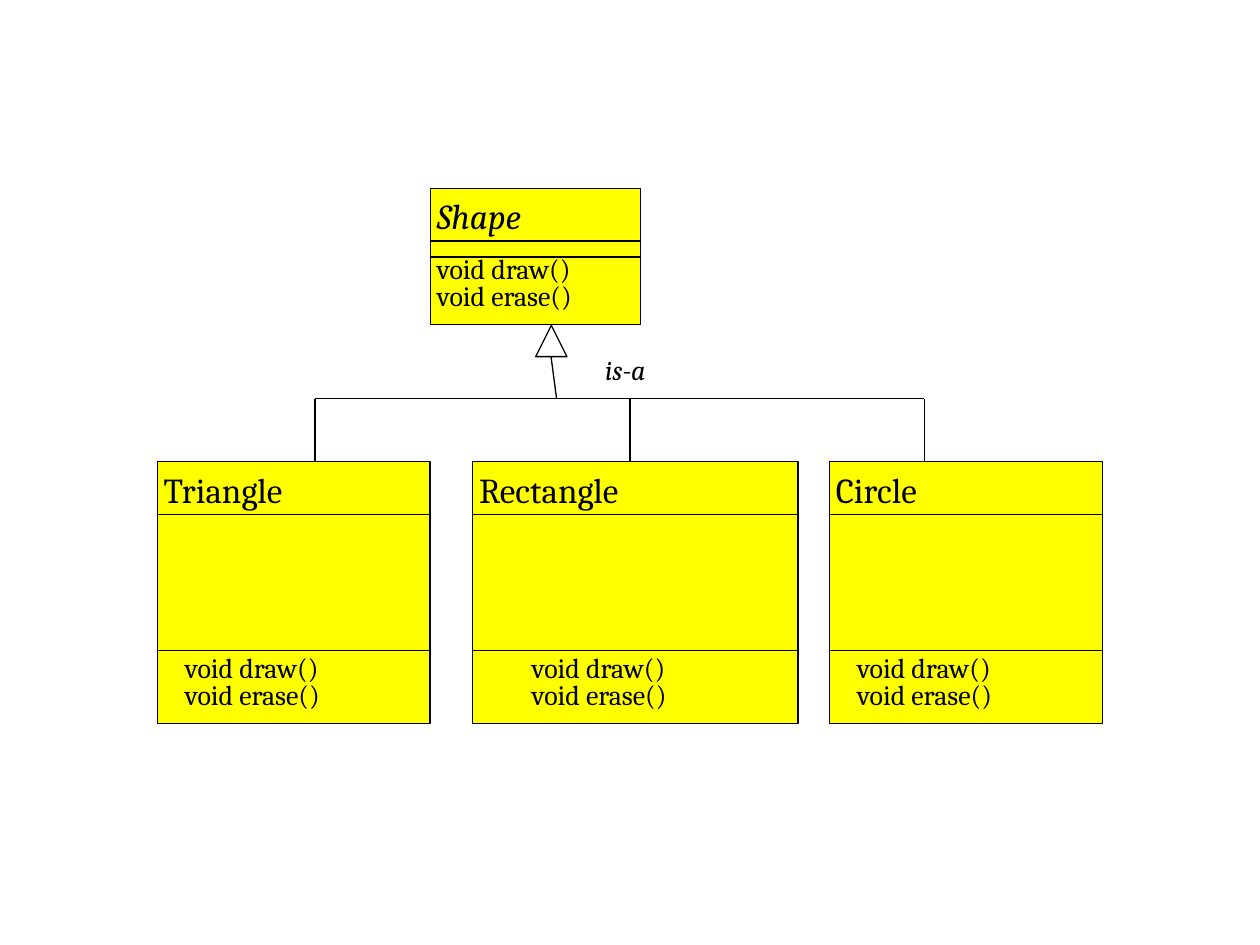
import pptx
import pptx.util
import pptx.dml.color
import pptx.enum.shapes
import pptx.enum.text
import pptx.oxml.ns
import lxml.etree

Cm = pptx.util.Cm
Pt = pptx.util.Pt
SHAPES = pptx.enum.shapes.MSO_SHAPE

FONT = "Cambria"
INK = "000000"
YELLOW = "FFFF00"
INSET = 0.13
HEADER = 1.06
METHODS = ["void draw()", "void erase()"]

CHILD_TOP = 9.31
CHILD_HEIGHT = 5.28
CHILD_BODY = 3.81
BAR_Y = 8.04
BRANCH_XS = [6.35, 12.7, 18.63]

CLASSES = [
    dict(name="Shape", left=8.68, top=3.8, width=4.23, height=2.75,
         rules=[HEADER, 1.38], methods=(0, 1.28), italic=True),
] + [
    dict(name=name, left=left, top=CHILD_TOP, width=width, height=CHILD_HEIGHT,
         rules=[HEADER, CHILD_BODY], methods=(indent, CHILD_BODY), italic=False)
    for name, left, width, indent in [
        ("Triangle", 3.17, 5.5, 0.43),
        ("Rectangle", 9.53, 6.56, 1.06),
        ("Circle", 16.72, 5.5, 0.43),
    ]
]

BRANCHES = [
    (BRANCH_XS[0], BAR_Y, BRANCH_XS[-1], BAR_Y),
    (11.11, 7.2, 11.22, BAR_Y),
] + [(x, BAR_Y, x, CHILD_TOP) for x in BRANCH_XS]


def color(value):
    return pptx.dml.color.RGBColor.from_string(value)


def add_outline(parent, kind, left, top, width, height, fill=None):
    shape = parent.add_shape(kind, Cm(left), Cm(top), Cm(width), Cm(height))
    shape.shadow.inherit = False
    if fill:
        shape.fill.solid()
        shape.fill.fore_color.rgb = color(fill)
    else:
        shape.fill.background()
    shape.line.color.rgb = color(INK)
    shape.line.width = Pt(0.75)


def add_line(x1, y1, x2, y2):
    line = page.shapes.add_connector(
        pptx.enum.shapes.MSO_CONNECTOR.STRAIGHT, Cm(x1), Cm(y1), Cm(x2), Cm(y2))
    line.line.color.rgb = color(INK)
    line.line.width = Pt(0.75)
    properties = line._element.spPr
    lxml.etree.SubElement(properties, pptx.oxml.ns.qn("a:effectLst"))


def add_text(parent, lines, left, top, width, height, size,
             italic=False, wrap=False, spacing=None):
    box = parent.add_textbox(Cm(left), Cm(top), Cm(width), Cm(height))
    frame = box.text_frame
    frame.word_wrap = wrap
    frame.auto_size = pptx.enum.text.MSO_AUTO_SIZE.SHAPE_TO_FIT_TEXT
    frame.margin_left = frame.margin_right = Cm(INSET)
    frame.margin_top = frame.margin_bottom = Cm(INSET)
    for index, line in enumerate(lines):
        para = frame.add_paragraph() if index else frame.paragraphs[0]
        if spacing:
            para.line_spacing = spacing
        span = para.add_run()
        span.text = line
        span.font.name = FONT
        span.font.size = Pt(size)
        span.font.italic = italic
        span.font.color.rgb = color(INK)


deck = pptx.Presentation()
deck.slide_width = Cm(25.4)
deck.slide_height = Cm(19.05)
page = deck.slides.add_slide(deck.slide_layouts[6])

for item in CLASSES:
    left, top, width = item["left"], item["top"], item["width"]
    group = page.shapes.add_group_shape()
    add_outline(group.shapes, SHAPES.RECTANGLE, left, top, width, item["height"], YELLOW)
    add_text(group.shapes, [item["name"]], left, top, width, 1.09, 20,
             italic=item["italic"], wrap=True)
    for offset in item["rules"]:
        add_line(left, top + offset, left + width, top + offset)
    indent, drop = item["methods"]
    add_text(page.shapes, METHODS, left + indent, top + drop, 3.07, 1.47, 16, spacing=0.8)

for branch in BRANCHES:
    add_line(*branch)
add_outline(page.shapes, SHAPES.ISOSCELES_TRIANGLE, 10.8, 6.56, 0.63, 0.63)
add_text(page.shapes, ["is-a"], 12.07, 6.98, 1.14, 0.91, 16, italic=True)

deck.save("out.pptx")
